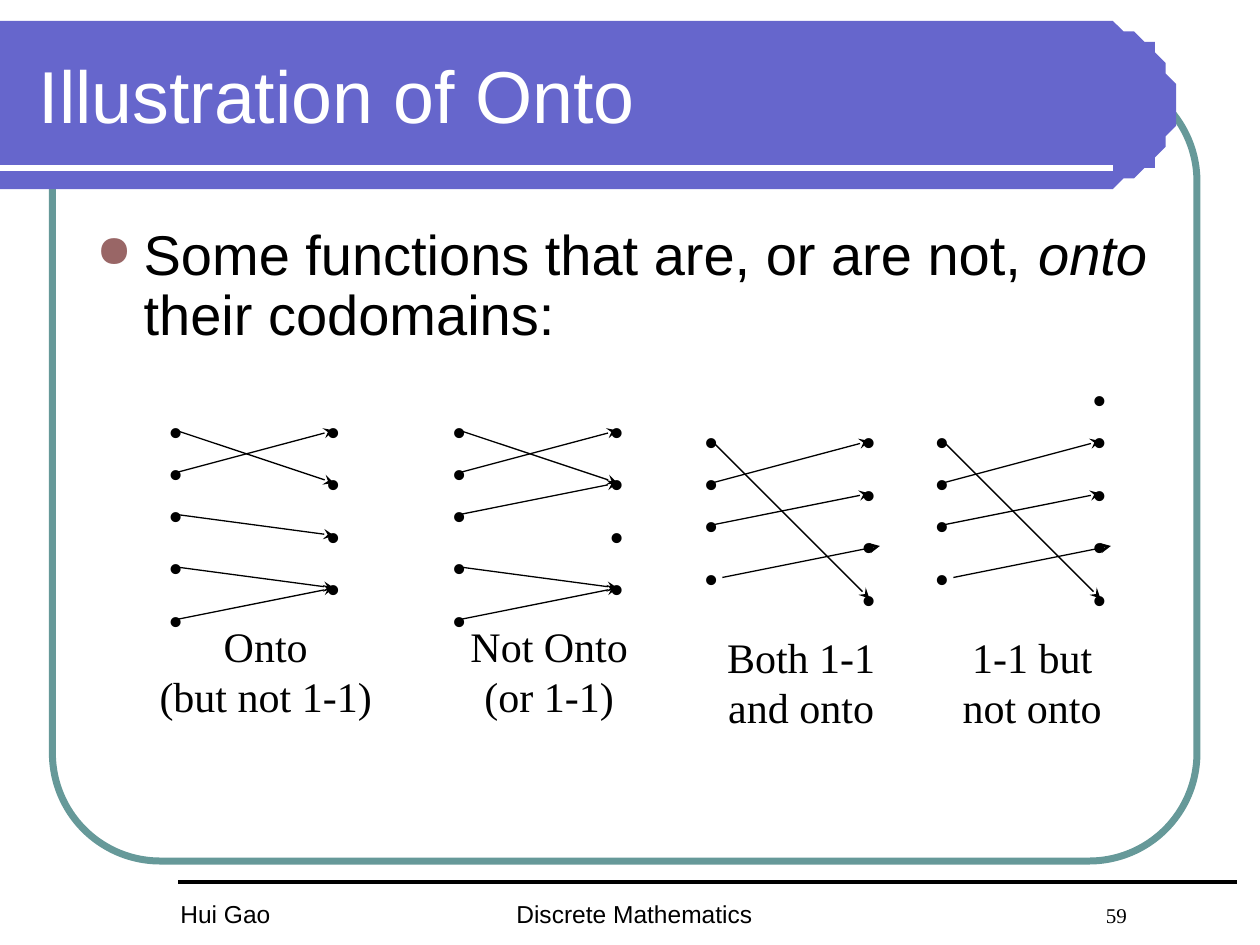
from dataclasses import dataclass
from math import cos, pi, sin

from lxml.etree import SubElement
from pptx import Presentation
from pptx.dml.color import RGBColor
from pptx.enum.shapes import MSO_CONNECTOR, MSO_SHAPE
from pptx.enum.text import MSO_ANCHOR, MSO_AUTO_SIZE, PP_ALIGN
from pptx.oxml.ns import qn
from pptx.util import Emu, Pt

# The slide is a grid of 120 columns by 90 rows of square cells
COLUMNS, ROWS, CELL = 120, 90, 76200


@dataclass(frozen=True)
class Theme:
    banner: str = "6666CC"
    frame: str = "669999"
    bullet: str = "996666"
    ink: str = "000000"
    paper: str = "FFFFFF"
    sans: str = "Arial"
    serif: str = "Times New Roman"
    title: int = 42
    body: int = 32
    label: int = 24
    footer: int = 14
    number: int = 12


@dataclass(frozen=True)
class Box:
    left: float
    top: float
    width: float
    height: float

    def inner(self, left, top, width, height):
        return Box(self.left + left, self.top + top, width, height)

    def lengths(self):
        return [cells(n) for n in (self.left, self.top, self.width, self.height)]


THEME = Theme()


def cells(count):
    return Emu(round(count * CELL))


def color(code):
    return RGBColor.from_string(code)


def add_line(slide, start, end, code, width, arrow=False):
    line = slide.shapes.add_connector(
        MSO_CONNECTOR.STRAIGHT, *[cells(n) for n in (*start, *end)])
    line.line.color.rgb = color(code)
    line.line.width = Pt(width)
    if arrow:
        SubElement(line.line._get_or_add_ln(), qn("a:tailEnd"), type="stealth")
    SubElement(line._element.spPr, qn("a:effectLst"))


def add_text_box(slide, box, anchor=MSO_ANCHOR.TOP, wrap=True, grow=False):
    frame = slide.shapes.add_textbox(*box.lengths()).text_frame
    frame.word_wrap = wrap
    frame.vertical_anchor = anchor
    frame.auto_size = MSO_AUTO_SIZE.SHAPE_TO_FIT_TEXT if grow else MSO_AUTO_SIZE.NONE
    return frame.paragraphs[0]


def add_run(paragraph, text, size, font=THEME.sans, code=THEME.ink, italic=False):
    run = paragraph.add_run()
    run.text = text
    run.font.size = Pt(size)
    run.font.name = font
    run.font.italic = italic
    run.font.color.rgb = color(code)


def space_before(paragraph, percent):
    spacing = SubElement(paragraph._p.get_or_add_pPr(), qn("a:spcBef"))
    SubElement(spacing, qn("a:spcPct"), val=str(percent * 1000))


def add_label(slide, box, lines):
    paragraph = add_text_box(slide, box, MSO_ANCHOR.MIDDLE, wrap=False, grow=True)
    paragraph.alignment = PP_ALIGN.CENTER
    space_before(paragraph, 50)
    for index, line in enumerate(lines):
        if index:
            paragraph.add_line_break()
        add_run(paragraph, line, THEME.label, THEME.serif)


# Rounded frame behind the content
def add_frame(slide, box):
    frame = slide.shapes.add_shape(MSO_SHAPE.ROUNDED_RECTANGLE, *box.lengths())
    frame.adjustments[0] = 0.137
    frame.shadow.inherit = False
    frame.fill.background()
    frame.line.color.rgb = color(THEME.frame)
    frame.line.width = Pt(4)


# Banner with a round right end, and its rule
def add_banner(slide, box):
    radius = box.height / 2
    center_x, center_y = box.left + box.width - radius, box.top + radius
    angles = [pi * (step / 32 - 0.5) for step in range(33)]
    arc = [(center_x + radius * cos(a), center_y + radius * sin(a)) for a in angles]
    builder = slide.shapes.build_freeform(box.left, box.top, scale=CELL)
    builder.add_line_segments(arc + [(box.left, box.top + box.height)], close=True)
    banner = builder.convert_to_shape()
    banner.shadow.inherit = False
    banner.fill.solid()
    banner.fill.fore_color.rgb = color(THEME.banner)
    banner.line.fill.background()
    rule = box.top + box.height * 7 / 8
    add_line(slide, (box.left, rule), (box.left + box.width - 6, rule), THEME.paper, 3)


def add_title(slide, box):
    paragraph = add_text_box(slide, box, MSO_ANCHOR.MIDDLE)
    add_run(paragraph, "Illustration of Onto", THEME.title, code=THEME.paper)


# Footer: course and page number, rule, author
def add_footer(slide, box):
    course = add_text_box(slide, box.inner(32, 1, 71, 4))
    tabs = SubElement(course._p.get_or_add_pPr(), qn("a:tabLst"))
    SubElement(tabs, qn("a:tab"), pos=str(cells(56.15)), algn="l")
    add_run(course, "Discrete Mathematics", THEME.footer)
    add_run(course, "\t59", THEME.number, THEME.serif)
    add_line(slide, (box.left + 1, box.top), (box.left + box.width, box.top),
             THEME.ink, 2.25)
    author = add_text_box(slide, box.inner(0, 1, 23, 4), grow=True)
    space_before(author, 50)
    add_run(author, "Hui Gao", THEME.footer)


def add_body(slide, box):
    paragraph = add_text_box(slide, box)
    paragraph.line_spacing = 0.9
    space_before(paragraph, 20)
    properties = paragraph._p.get_or_add_pPr()
    properties.set("marL", str(cells(4.5)))
    properties.set("indent", str(-cells(4.5)))
    bullet_color = SubElement(properties, qn("a:buClr"))
    SubElement(bullet_color, qn("a:srgbClr"), val=THEME.bullet)
    SubElement(properties, qn("a:buSzPct"), val="80000")
    SubElement(properties, qn("a:buChar"), char="●")
    add_run(paragraph, "Some functions that are, or are not, ", THEME.body)
    add_run(paragraph, "onto", THEME.body, italic=True)
    add_run(paragraph, " their codomains:", THEME.body)


# Mapping diagram: box corners are the first dots of domain and codomain
def add_mapping(slide, box, domain, codomain, arrows, shifted, caption, caption_width):
    for x, rows in ((0, domain), (box.width, codomain)):
        for row in rows:
            add_label(slide, box.inner(x - 2, row - 3, 3.84, 6), ["•"])
    for source, target in arrows:
        left = box.left + ((source, target) in shifted)
        add_line(slide, (left, box.top + domain[source]),
                 (left + box.width, box.top + codomain[target]),
                 THEME.ink, 0.75, arrow=True)
    add_label(slide, box.inner(8.5 - caption_width / 2, 17.5, caption_width, 10.8), caption)


def add_mappings(slide):
    five, four = [0, 4, 8, 13, 18], [0, 4, 8, 13]
    codomain = [0, 5, 10, 15]
    one_to_one, shifted = [(1, 0), (2, 1), (0, 3), (3, 2)], [(3, 2)]
    mappings = [
        (16.8, 41, five, codomain, [(0, 1), (1, 0), (2, 2), (3, 3), (4, 3)], [],
         ["Onto", "(but not 1-1)"], 22.7),
        (43.8, 41, five, codomain, [(0, 1), (1, 0), (2, 1), (3, 3), (4, 3)], [],
         ["Not Onto", "(or 1-1)"], 17.4),
        (67.8, 42, four, codomain, one_to_one, shifted, ["Both 1-1", "and onto"], 16.6),
        (89.8, 42, four, codomain + [-4], one_to_one, shifted,
         ["1-1 but", "not onto"], 15.6),
    ]
    for left, top, *details in mappings:
        add_mapping(slide, Box(left, top, 15, 18), *details)


presentation = Presentation()
presentation.slide_width, presentation.slide_height = cells(COLUMNS), cells(ROWS)
slide = presentation.slides.add_slide(presentation.slide_layouts[6])
add_frame(slide, Box(5, 7, 109, 75))
add_banner(slide, Box(0, 2, 112, 16))
add_footer(slide, Box(16, 84, 101.8, 5))
add_title(slide, Box(2.5, 3, 105.2, 12))
add_body(slide, Box(8, 21, 104, 13))
add_mappings(slide)
presentation.save("out.pptx")
